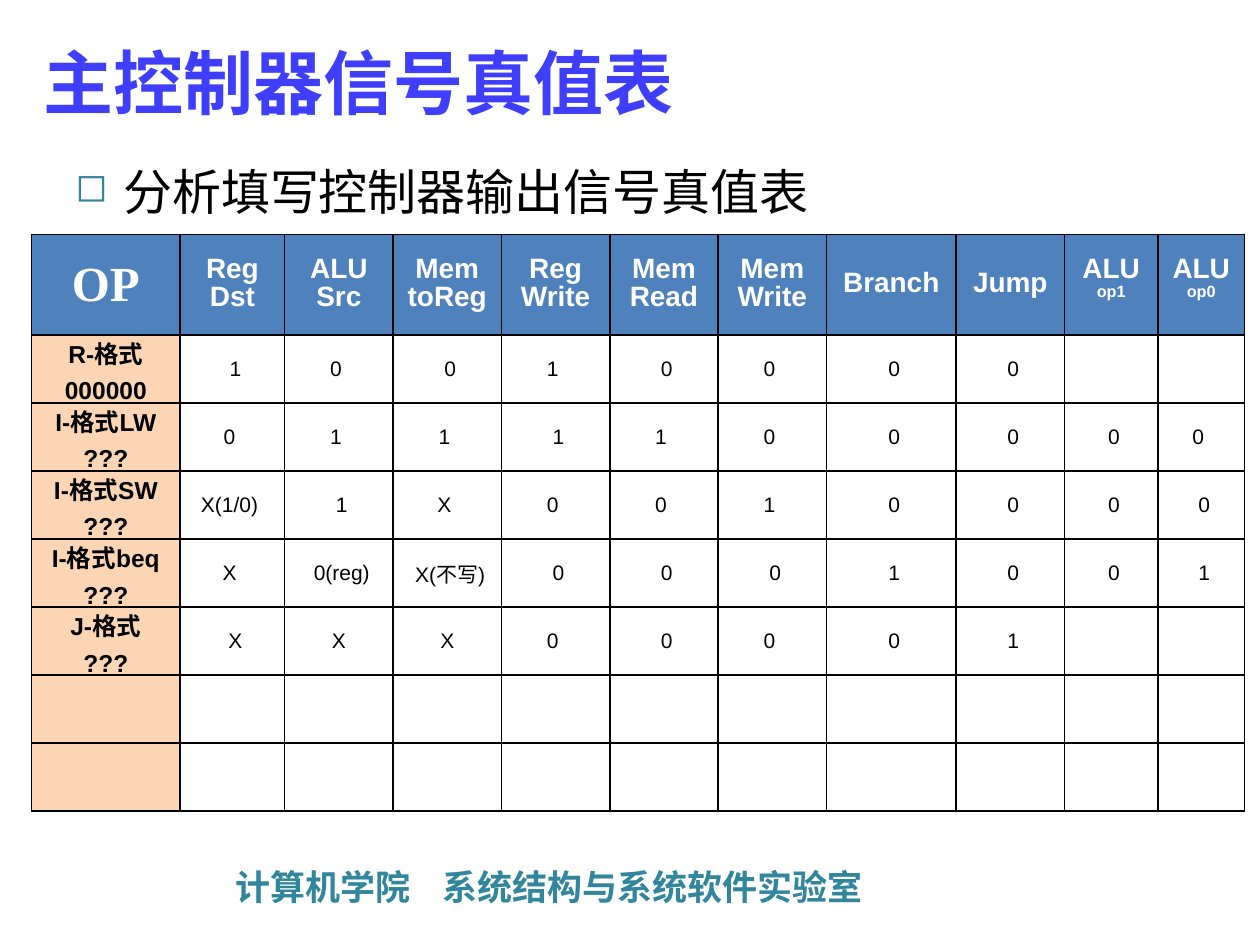
from lxml.etree import SubElement
from pptx import Presentation
from pptx.dml.color import RGBColor
from pptx.enum.text import MSO_ANCHOR, PP_ALIGN
from pptx.oxml.ns import qn
from pptx.util import Inches, Pt

COLORS = {
    "title": "3E3EFC",
    "teal": "31859C",
    "black": "000000",
    "white": "FFFFFF",
    "header": "4F81BD",
    "operation": "FCD5B5",
}
CHINESE_FONT = "Noto Sans CJK SC"
TIE = "~"

COLUMN_WIDTHS = [1.18, 0.83] + [0.86] * 5 + [1.03, 0.86, 0.74, 0.69]
ROW_HEIGHTS = [0.8] + [0.54] * 7
HEADERS = ["OP", "Reg Dst", "ALU Src", "Mem toReg", "Reg Write", "Mem Read",
           "Mem Write", "Branch", "Jump", "ALU op1", "ALU op0"]
OPERATIONS = [
    (["R-格式", "000000"], "~1 0~ ~0 1~ ~0 0~ ~0 ~0"),
    (["I-格式LW", "???"], "0~ 1~ 1~ ~1 1~ 0~ ~0 ~0 ~0 0~"),
    (["I-格式SW", "???"], "X(1/0)~ ~1 X~ 0~ 0~ 1~ ~0 ~0 ~0 ~0"),
    (["I-格式beq", "???"], "X~ ~0(reg) ~X(不写) ~0 ~0 ~0 ~1 ~0 ~0 ~1"),
    (["J-格式", "???"], "~X X X 0~ ~0 0~ ~0 ~1"),
]

TITLE_FONT = {"name": "Times New Roman", "size": Pt(40), "bold": True}
BODY_FONT = {"name": "Times New Roman", "size": Pt(28), "bold": False}
FOOTER_FONT = {"name": CHINESE_FONT, "size": Pt(20), "bold": True}
OP_FONT = {"name": "Times New Roman", "size": Pt(28), "bold": True}
HEADER_FONT = {"name": "Arial", "size": Pt(16), "bold": True}
OPERATION_FONT = {"name": "Arial", "size": Pt(14), "bold": True}
VALUE_FONT = {"name": "Arial", "size": Pt(12), "bold": False}

CENTERED = {"alignment": PP_ALIGN.CENTER}
HEADER_LINES = {**CENTERED, "line_spacing": Pt(16)}
ALU_OP_LINES = {**CENTERED, "line_spacing": Pt(9)}
OPERATION_LINES = {**CENTERED, "space_before": Pt(3.9)}
CELL_FORMAT = {
    "margin_left": 0,
    "margin_right": 0,
    "margin_top": 0,
    "margin_bottom": 0,
    "vertical_anchor": MSO_ANCHOR.MIDDLE,
}


def apply_format(target, values):
    for name, value in values.items():
        setattr(target, name, value)


class SlideBuilder:
    def __init__(self, slide, colors):
        self.slide = slide
        self.colors = colors

    def color(self, name):
        return RGBColor.from_string(self.colors[name])

    def paragraphs(self, text_frame, lines, font, color, paragraph_format):
        for index, line in enumerate(lines):
            paragraph = text_frame.add_paragraph() if index else text_frame.paragraphs[0]
            apply_format(paragraph, paragraph_format)
            run = paragraph.add_run()
            run.text = line
            apply_format(run.font, font)
            run.font.color.rgb = self.color(color)
            properties = run._r.get_or_add_rPr()
            SubElement(properties, qn("a:ea"), typeface=CHINESE_FONT)
            if line.startswith("op"):
                properties.set("baseline", "-25000")

    def text(self, box, line, font, color, anchor=MSO_ANCHOR.TOP, paragraph_format={}):
        shape = self.slide.shapes.add_textbox(*[Inches(length) for length in box])
        apply_format(shape.text_frame, {"word_wrap": True, "vertical_anchor": anchor})
        self.paragraphs(shape.text_frame, [line], font, color, paragraph_format)
        return shape.text_frame.paragraphs[0]

    def bullet(self, paragraph, symbol, color, indent):
        properties = paragraph._p.get_or_add_pPr()
        properties.set("marL", str(Inches(indent)))
        properties.set("indent", str(-Inches(indent)))
        bullet_color = SubElement(properties, qn("a:buClr"))
        SubElement(bullet_color, qn("a:srgbClr"), val=self.colors[color])
        SubElement(properties, qn("a:buSzPct"), val="80000")
        SubElement(properties, qn("a:buChar"), char=symbol)

    def tab_stop(self, paragraph, position):
        tabs = SubElement(paragraph._p.get_or_add_pPr(), qn("a:tabLst"))
        SubElement(tabs, qn("a:tab"), pos=str(Inches(position)), algn="l")

    def table(self, left, top, widths, heights):
        table = self.slide.shapes.add_table(
            len(heights), len(widths), Inches(left), Inches(top),
            Inches(sum(widths)), Inches(sum(heights))).table
        apply_format(table, {"first_row": False, "horz_banding": False})
        for column, width in zip(table.columns, widths):
            column.width = Inches(width)
        for row, height in zip(table.rows, heights):
            row.height = Inches(height)
        return table

    def borders(self, cell):
        properties = cell._tc.get_or_add_tcPr()
        for position, side in enumerate(["a:lnL", "a:lnR", "a:lnT", "a:lnB"]):
            line = properties.makeelement(qn(side), {"w": str(Pt(1))})
            fill = SubElement(line, qn("a:solidFill"))
            SubElement(fill, qn("a:srgbClr"), val=self.colors["black"])
            properties.insert(position, line)

    def cell(self, cell, lines, font, color, paragraph_format, fill=None):
        apply_format(cell, CELL_FORMAT)
        if fill:
            cell.fill.solid()
            cell.fill.fore_color.rgb = self.color(fill)
        else:
            cell.fill.background()
        self.borders(cell)
        self.paragraphs(cell.text_frame, lines, font, color, paragraph_format)


def fill_truth_table(builder, table):
    for column, header in enumerate(HEADERS):
        font = HEADER_FONT if column else OP_FONT
        lines_format = HEADER_LINES if column else CENTERED
        if " op" in header:
            lines_format = ALU_OP_LINES
        builder.cell(table.cell(0, column), header.split(), font, "white",
                     lines_format, "header")
    for row in range(1, len(ROW_HEIGHTS)):
        names, signals = OPERATIONS[row - 1] if row <= len(OPERATIONS) else ([], "")
        builder.cell(table.cell(row, 0), names, OPERATION_FONT, "black",
                     OPERATION_LINES, "operation")
        values = [value.replace(TIE, chr(160)) for value in signals.split()]
        for column in range(1, len(HEADERS)):
            builder.cell(table.cell(row, column), values[column - 1:column],
                         VALUE_FONT, "black", CENTERED)


def main():
    presentation = Presentation()
    apply_format(presentation, {"slide_width": Inches(10), "slide_height": Inches(7.5)})
    slide = presentation.slides.add_slide(presentation.slide_layouts[6])
    builder = SlideBuilder(slide, COLORS)

    footer = builder.text((1.77, 6.82, 7.24, 0.44), "计算机学院\t系统结构与系统软件实验室",
                          FOOTER_FONT, "teal")
    builder.tab_stop(footer, 1.64)
    builder.text((0.25, 0.13, 8.61, 1.04), "主控制器信号真值表",
                 TITLE_FONT, "title", MSO_ANCHOR.MIDDLE)
    topic = builder.text((0.5, 1.23, 9, 5.43), "分析填写控制器输出信号真值表",
                         BODY_FONT, "black", paragraph_format={"space_before": Pt(5.6)})
    builder.bullet(topic, "◻", "teal", 0.38)
    fill_truth_table(builder, builder.table(0.25, 1.86, COLUMN_WIDTHS, ROW_HEIGHTS))

    presentation.save("out.pptx")


if __name__ == "__main__":
    main()
